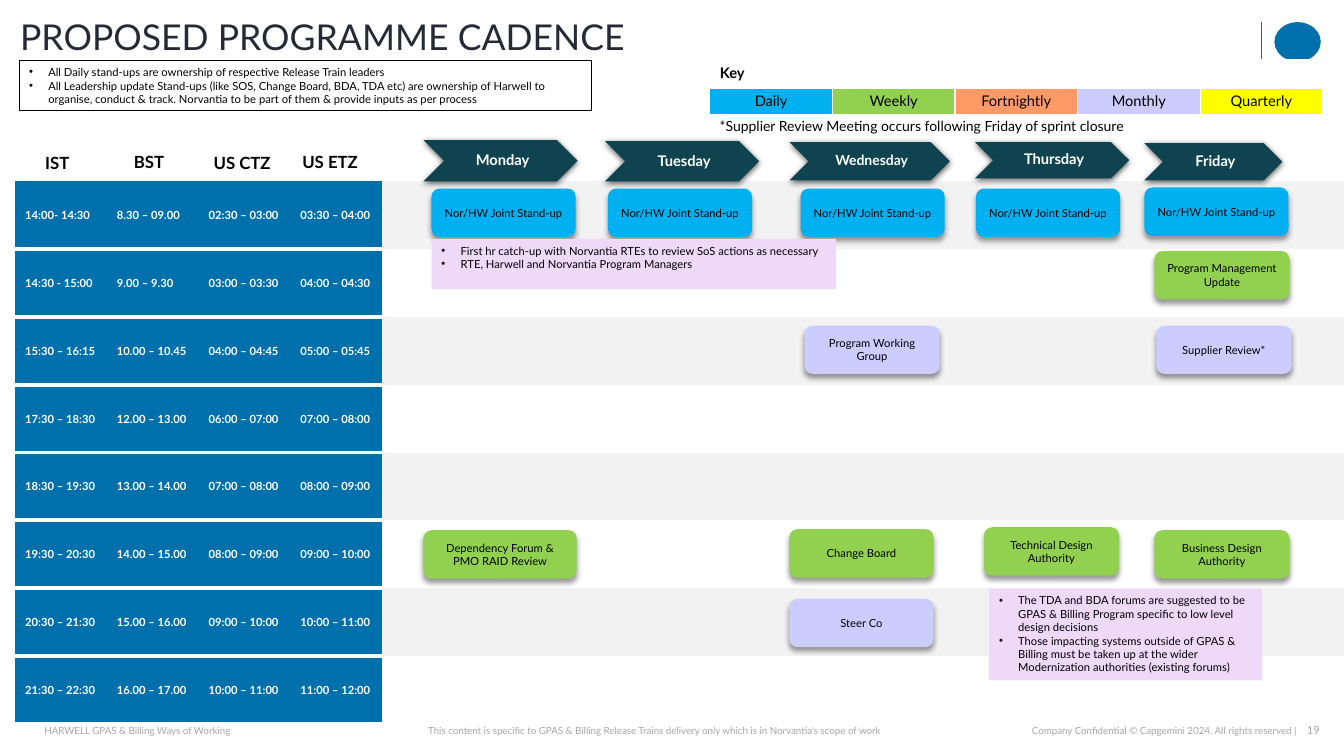
from lxml.etree import SubElement
from pptx import Presentation
from pptx.dml.color import RGBColor
from pptx.enum.shapes import MSO_CONNECTOR, MSO_SHAPE
from pptx.enum.text import MSO_ANCHOR, PP_ALIGN
from pptx.oxml import parse_xml
from pptx.oxml.ns import nsdecls, qn
from pptx.util import Inches, Pt

FONT = "Lato"
BLACK = RGBColor(0, 0, 0)
WHITE = RGBColor(0xFF, 0xFF, 0xFF)
BAND = RGBColor(0xF2, 0xF2, 0xF2)
GREY = RGBColor(0xA6, 0xA6, 0xA6)
INK = RGBColor(0x27, 0x29, 0x36)
BLUE = RGBColor(0x00, 0x70, 0xAD)
TEAL = RGBColor(0x0F, 0x43, 0x50)
NOTE = RGBColor(0xEE, 0xD9, 0xF9)
DAILY = RGBColor(0x00, 0xB0, 0xF0)
WEEKLY = RGBColor(0x92, 0xD0, 0x50)
FORTNIGHTLY = RGBColor(0xFF, 0x99, 0x66)
MONTHLY = RGBColor(0xCC, 0xCC, 0xFF)
QUARTERLY = RGBColor(0xFF, 0xFF, 0x00)
NO_GRID = "{2D5ABB26-0587-4C30-8999-92F81FD0307C}"
LEFT, CENTER, RIGHT = PP_ALIGN.LEFT, PP_ALIGN.CENTER, PP_ALIGN.RIGHT

TIMES = [
    ("14:00- 14:30", "8.30 – 09.00", "02:30 – 03:00", "03:30 – 04:00"),
    ("14:30 - 15:00", "9.00 – 9.30", "03:00 – 03:30", "04:00 – 04:30"),
    ("15:30 – 16:15", "10.00 – 10.45", "04:00 – 04:45", "05:00 – 05:45"),
    ("17:30 – 18:30", "12.00 – 13.00", "06:00 – 07:00", "07:00 – 08:00"),
    ("18:30 – 19:30", "13.00 – 14.00", "07:00 – 08:00", "08:00 – 09:00"),
    ("19:30 – 20:30", "14.00 – 15.00", "08:00 – 09:00", "09:00 – 10:00"),
    ("20:30 – 21:30", "15.00 – 16.00", "09:00 – 10:00", "10:00 – 11:00"),
    ("21:30 – 22:30", "16.00 – 17.00", "10:00 – 11:00", "11:00 – 12:00"),
]
DAYS = [
    ("Monday", 4.2, 1.39, 1.53, 0.41, 10.5),
    ("Tuesday", 6, 1.4, 1.53, 0.4, 10.5),
    ("Wednesday", 7.83, 1.41, 1.59, 0.38, 10),
    ("Thursday", 9.67, 1.41, 1.53, 0.36, 10.5),
    ("Friday", 11.35, 1.42, 1.37, 0.37, 10.5),
]
ZONES = [("IST", 0.35, 1.47, 0.52), ("BST", 1.23, 1.46, 0.52),
         ("US CTZ", 2.02, 1.47, 0.86), ("US ETZ", 2.9, 1.46, 0.86)]
KEY = [("Daily", DAILY), ("Weekly", WEEKLY), ("Fortnightly", FORTNIGHTLY),
       ("Monthly", MONTHLY), ("Quarterly", QUARTERLY)]
STANDUPS = [(4.28, 1.87), (6.03, 1.87), (7.94, 1.87), (9.68, 1.87), (11.35, 1.86)]
MEETINGS = [
    ("Program Management Update", 11.45, 2.49, 1.34, WEEKLY),
    ("Program Working Group", 7.98, 3.23, 1.34, MONTHLY),
    ("Supplier Review*", 11.47, 3.23, 1.34, MONTHLY),
    ("Dependency Forum & PMO RAID Review", 4.2, 5.26, 1.52, WEEKLY),
    ("Change Board", 7.83, 5.25, 1.43, WEEKLY),
    ("Technical Design Authority", 9.76, 5.23, 1.34, WEEKLY),
    ("Business Design Authority", 11.45, 5.26, 1.34, WEEKLY),
    ("Steer Co", 7.83, 5.94, 1.43, MONTHLY),
]


def write(tf, lines, size, color=BLACK, bold=False, align=LEFT, bullet=False, spacing=None):
    """Fill a text frame with one paragraph per line."""
    for i, line in enumerate(lines):
        p = tf.paragraphs[0] if i == 0 else tf.add_paragraph()
        p.alignment = align
        if spacing:
            p.line_spacing = spacing
        if bullet:
            pPr = p._p.get_or_add_pPr()
            pPr.set("marL", str(Inches(0.19)))
            pPr.set("indent", str(-Inches(0.19)))
            SubElement(pPr, qn("a:buFont"), typeface="Arial")
            SubElement(pPr, qn("a:buChar"), char="•")
        r = p.add_run()
        r.text = line
        r.font.name, r.font.size, r.font.bold = FONT, Pt(size), bold
        r.font.color.rgb = color


def set_frame(tf, anchor, insets):
    """Set wrapping, anchor and insets of a text frame."""
    tf.word_wrap = True
    tf.vertical_anchor = anchor
    tf.margin_left, tf.margin_top, tf.margin_right, tf.margin_bottom = map(Inches, insets)


def add_label(s, box, text, size, anchor=MSO_ANCHOR.TOP, insets=(0.1, 0.05, 0.1, 0.05), **style):
    """Add a one-line text box."""
    tf = s.shapes.add_textbox(*map(Inches, box)).text_frame
    set_frame(tf, anchor, insets)
    write(tf, [text], size, **style)


def add_block(s, kind, box, fill=None, line=None):
    """Add a flat preset shape."""
    sp = s.shapes.add_shape(kind, *map(Inches, box))
    sp.shadow.inherit = False
    if fill is None:
        sp.fill.background()
    else:
        sp.fill.solid()
        sp.fill.fore_color.rgb = fill
    if line is None:
        sp.line.fill.background()
    else:
        sp.line.color.rgb = line
        sp.line.width = Pt(0.75)
    return sp


def drop_shadow(sp, blur, dist, alpha):
    """Give a shape a black shadow falling straight down."""
    effects = sp._element.spPr.find(qn("a:effectLst"))
    effects.append(parse_xml(
        f'<a:outerShdw {nsdecls("a")} blurRad="{Pt(blur)}" dist="{Pt(dist)}" dir="5400000" '
        f'rotWithShape="0"><a:srgbClr val="000000"><a:alpha val="{alpha * 1000}"/>'
        '</a:srgbClr></a:outerShdw>'))


def add_day(s, name, x, y, w, h, size):
    """Add a weekday chevron."""
    sp = add_block(s, MSO_SHAPE.CHEVRON, (x, y, w, h), TEAL)
    drop_shadow(sp, 4.5, 1.5, 63)
    set_frame(sp.text_frame, MSO_ANCHOR.MIDDLE, (0.24, 0.02, 0.2, 0.02))
    write(sp.text_frame, [name], size, WHITE, True, CENTER, spacing=0.9)


def add_meeting(s, name, x, y, w, fill):
    """Add a rounded meeting card."""
    sp = add_block(s, MSO_SHAPE.ROUNDED_RECTANGLE, (x, y, w, 0.48), fill)
    drop_shadow(sp, 4, 3, 40)
    set_frame(sp.text_frame, MSO_ANCHOR.MIDDLE, (0.1, 0.05, 0.1, 0.05))
    write(sp.text_frame, [name], 8, align=CENTER)


def add_note(s, box, lines, fill=None, line=None):
    """Add a rectangle with bulleted remarks."""
    sp = add_block(s, MSO_SHAPE.RECTANGLE, box, fill, line)
    set_frame(sp.text_frame, MSO_ANCHOR.TOP, (0.1, 0.05, 0.1, 0.05))
    write(sp.text_frame, lines, 8, bullet=True)


def add_grid(s, box, rows, widths):
    """Add an unstyled table with equal rows."""
    table = s.shapes.add_table(rows, len(widths), *map(Inches, box)).table
    table._tbl.tblPr.find(qn("a:tableStyleId")).text = NO_GRID
    table.first_row = table.horz_banding = False
    for col, width in zip(table.columns, widths):
        col.width = Inches(width)
    for row in table.rows:
        row.height = int(Inches(box[3]) / rows)
    return table


def paint(cell, fill, borders=None):
    """Fill a cell and draw white borders given as side to points."""
    cell.fill.solid()
    cell.fill.fore_color.rgb = fill
    for i, (side, width) in enumerate((borders or {}).items()):
        cell._tc.get_or_add_tcPr().insert(i, parse_xml(
            f'<a:ln{side} {nsdecls("a")} w="{Pt(width)}"><a:solidFill>'
            f'<a:srgbClr val="{WHITE}"/></a:solidFill></a:ln{side}>'))


def add_schedule(s):
    """Add the time-zone table with its banded week area."""
    widths = [0.91] * 4 + [2.12, 1.75, 1.89, 1.97, 1.81]
    table = add_grid(s, (0.15, 1.8, 13.17, 5.38), len(TIMES), widths)
    for i, times in enumerate(TIMES):
        for j in range(len(widths)):
            cell = table.cell(i, j)
            if j < len(times):
                paint(cell, BLUE, {"T": 3, "B": 3} if i else {"B": 3})
                cell.vertical_anchor = MSO_ANCHOR.MIDDLE
                write(cell.text_frame, [times[j]], 8, WHITE, True)
            else:
                paint(cell, WHITE if i % 2 else BAND)


def add_key(s):
    """Add the colour key for meeting frequency."""
    table = add_grid(s, (7.04, 0.59, 6.08, 0.55), 2, [1.216] * len(KEY))
    for j, (name, fill) in enumerate(KEY):
        paint(table.cell(0, j), WHITE, {"L": 1, "R": 1, "T": 1, "B": 3})
        cell = table.cell(1, j)
        paint(cell, fill, {"L": 1, "R": 1, "T": 3, "B": 1})
        write(cell.text_frame, [name], 10.5, align=CENTER)
    table.cell(0, 0).merge(table.cell(0, len(KEY) - 1))
    write(table.cell(0, 0).text_frame, ["Key"], 10.5, bold=True)


def add_frame(s):
    """Add the emblem, divider, title and footer."""
    add_block(s, MSO_SHAPE.OVAL, (12.64, 0.22, 0.46, 0.39), BLUE)
    divider = s.shapes.add_connector(MSO_CONNECTOR.STRAIGHT, *map(Inches, (12.51, 0.22, 12.51, 0.65)))
    divider.line.color.rgb = BLUE
    divider.line.width = Pt(0.5)
    SubElement(divider._element.spPr, qn("a:effectLst"))
    flush = {"anchor": MSO_ANCHOR.MIDDLE, "insets": (0, 0, 0, 0)}
    add_label(s, (0.2, 0.19, 11.5, 0.4), "PROPOSED PROGRAMME CADENCE", 25.4,
              color=INK, spacing=0.9, **flush)
    add_label(s, (0.44, 7.13, 3.73, 0.24), "HARWELL GPAS & Billing Ways of Working", 7,
              color=GREY, **flush)
    add_label(s, (2.43, 7.14, 8.12, 0.22), "This content is specific to GPAS & Billing Release Trains "
              "delivery only which is in Norvantia's scope of work", 7, color=GREY, align=CENTER)
    add_label(s, (7.9, 7.13, 4.96, 0.24), "Company Confidential © Capgemini 2024. All rights reserved |",
              7, color=GREY, align=RIGHT, **flush)
    add_label(s, (12.84, 7.13, 0.25, 0.24), "19", 8, insets=(0, 0.05, 0, 0.05),
              color=GREY, align=RIGHT)


def main():
    """Build the programme cadence slide."""
    prs = Presentation()
    prs.slide_width, prs.slide_height = Inches(13.33), Inches(7.5)
    s = prs.slides.add_slide(prs.slide_layouts[6])
    add_schedule(s)
    add_frame(s)
    add_key(s)
    add_label(s, (7.04, 1.12, 6.13, 0.27),
              "*Supplier Review Meeting occurs following Friday of sprint closure", 10)
    for name, x, y, w in ZONES:
        add_label(s, (x, y, w, 0.3), name, 12, bold=True)
    for day in DAYS:
        add_day(s, *day)
    for x, y in STANDUPS:
        add_meeting(s, "Nor/HW Joint Stand-up", x, y, 1.43, DAILY)
    for meeting in MEETINGS:
        add_meeting(s, *meeting)
    add_note(s, (0.19, 0.6, 5.68, 0.5), [
        "All Daily stand-ups are ownership of respective Release Train leaders",
        "All Leadership update Stand-ups (like SOS, Change Board, BDA, TDA etc) are ownership of Harwell "
        "to organise, conduct & track. Norvantia to be part of them & provide inputs as per process",
    ], line=BLACK)
    add_note(s, (4.28, 2.37, 4.01, 0.5), [
        "First hr catch-up with Norvantia RTEs to review SoS actions as necessary",
        "RTE, Harwell and Norvantia Program Managers",
    ], NOTE)
    add_note(s, (9.81, 5.84, 2.71, 0.91), [
        "The TDA and BDA forums are suggested to be GPAS & Billing Program specific to low level "
        "design decisions",
        "Those impacting systems outside of GPAS & Billing must be taken up at the wider "
        "Modernization authorities (existing forums)",
    ], NOTE)
    prs.save("out.pptx")


if __name__ == "__main__":
    main()
